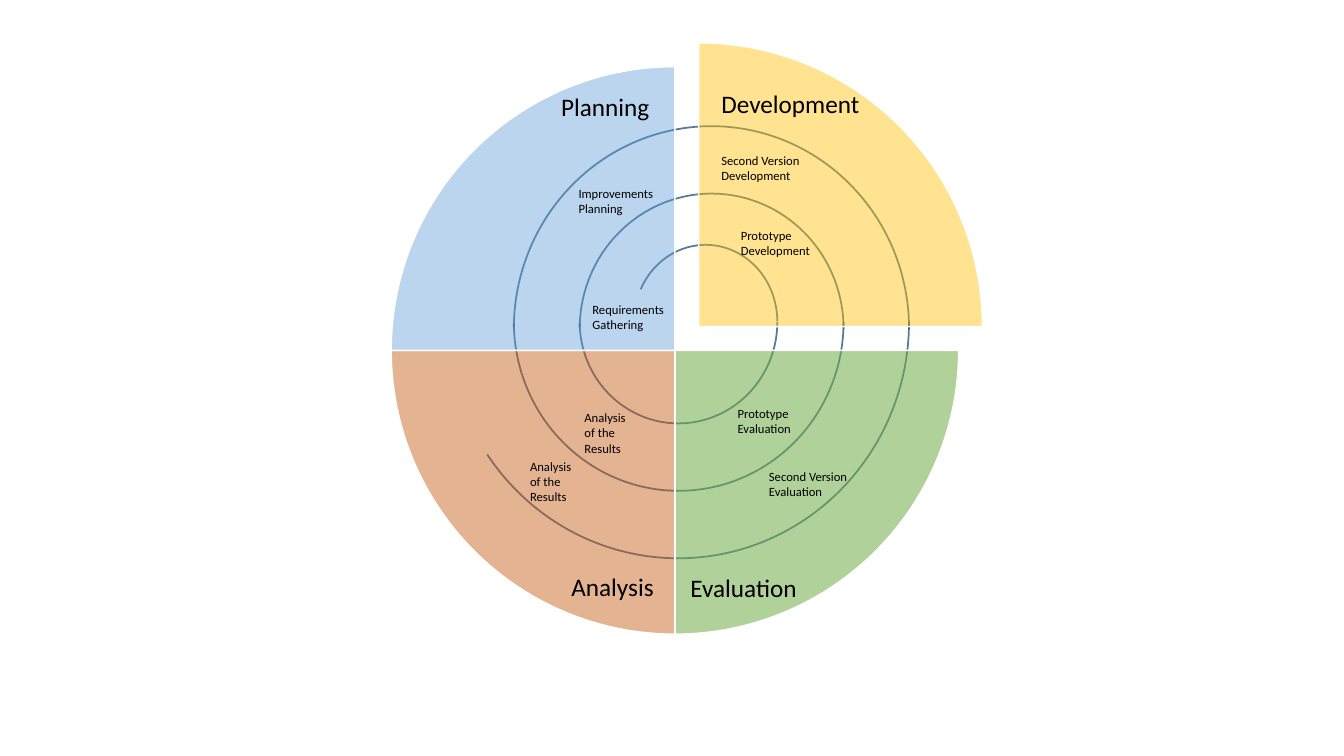
from lxml.etree import SubElement
from pptx import Presentation
from pptx.dml.color import RGBColor
from pptx.enum.shapes import MSO_SHAPE
from pptx.enum.text import MSO_AUTO_SIZE, PP_ALIGN
from pptx.oxml.ns import qn
from pptx.util import Cm, Pt

COLORS = {
    "development": "FFC000",
    "evaluation": "70AD47",
    "analysis": "C55A11",
    "planning": "5B9BD5",
    "spiral": "1F4E79",
    "border": "FFFFFF",
    "text": "000000",
}
FONT = "Calibri"
WHEEL_BOX = (9.86, 1.68, 14.3)
PULL_OUT = 0.6

TURNS = [
    (3.09, 2.18, 8.31, 8.51, 180.56, True),
    (1.42, 0.48, 11.63, 11.91, 214.75, True),
    (4.75, 3.88, 4.98, 5.11, 180.56, True),
    (3.09, 1.5, 9.96, 10.21, 180.56, False),
    (4.75, 3.2, 6.65, 6.81, 180.56, False),
    (6.12, 4.49, 3.61, 3.86, 206.27, False),
]
QUADRANTS = [
    ("development", 270, 43, PULL_OUT),
    ("evaluation", 0, 55, 0),
    ("analysis", 90, 46, 0),
    ("planning", 180, 42, 0),
]
PHASES = [
    ("Planning", 4.03, 0.5, 3.53),
    ("Analysis", 4.29, 12.59, 2.62),
    ("Evaluation", 7.29, 12.62, 3.23),
    ("Development", 8.07, 0.43, 4.04),
]
STEPS = [
    ("Requirements\nGathering", 4.82, 5.81, 2.36),
    ("Prototype\nDevelopment", 8.56, 3.93, 2.29),
    ("Prototype\nEvaluation", 8.48, 8.43, 1.88),
    ("Analysis\nof the\nResults", 4.62, 8.53, 1.57),
    ("Improvements\nPlanning", 4.47, 2.87, 2.44),
    ("Second Version\nDevelopment", 8.07, 2.05, 2.51),
    ("Second Version\nEvaluation", 9.27, 10, 2.51),
    ("Analysis\nof the\nResults", 3.25, 9.75, 1.57),
]


def paint(color_format, name, opacity=100):
    color_format.rgb = RGBColor.from_string(COLORS[name])
    return opacity * 1000


def set_opacity(fill_parent, opacity):
    color = fill_parent.find(qn("a:solidFill")).find(qn("a:srgbClr"))
    SubElement(color, qn("a:alpha"), val=str(opacity * 1000))


def add_sector(group, preset, left, top, width, height, start, end, border, weight):
    sector = group.shapes.add_shape(preset, Cm(left), Cm(top), Cm(width), Cm(height))
    sector.shadow.inherit = False
    for index, degrees in enumerate((start, end)):
        sector.adjustments[index] = degrees % 360 * 0.6
    sector.line.color.rgb = RGBColor.from_string(COLORS[border])
    sector.line.width = Pt(weight)
    return sector


def add_spiral(slide, box):
    left, top, _ = box
    spiral = slide.shapes.add_group_shape()
    for x, y, width, height, start, flipped in TURNS:
        turn = add_sector(spiral, MSO_SHAPE.ARC, left + x, top + y, width, height,
                          start, 0, "spiral", 1.25)
        turn.fill.background()
        properties = turn.element.spPr
        set_opacity(properties.find(qn("a:ln")), 75)
        if flipped:
            properties.find(qn("a:xfrm")).set("flipV", "1")


def add_quadrants(slide, box):
    left, top, size = box
    wheel = slide.shapes.add_group_shape()
    for phase, start, opacity, shift in QUADRANTS:
        quadrant = add_sector(wheel, MSO_SHAPE.PIE, left + shift, top - shift, size, size,
                              start, start + 90, "border", 1)
        quadrant.fill.solid()
        quadrant.fill.fore_color.rgb = RGBColor.from_string(COLORS[phase])
        set_opacity(quadrant.element.spPr, opacity)


def add_labels(slide, box, labels, size, wrap=False):
    left, top, _ = box
    for wording, x, y, width in labels:
        height = 1.42 if wording.count("\n") == 2 else 1.02
        label = slide.shapes.add_textbox(Cm(left + x), Cm(top + y), Cm(width), Cm(height))
        frame = label.text_frame
        frame.word_wrap = wrap
        frame.auto_size = MSO_AUTO_SIZE.SHAPE_TO_FIT_TEXT
        frame.text = wording
        for paragraph in frame.paragraphs:
            paragraph.alignment = PP_ALIGN.LEFT
            paragraph.font.name = FONT
            paragraph.font.size = Pt(size)
            paragraph.font.color.rgb = RGBColor.from_string(COLORS["text"])


def add_spiral_model(slide, box):
    add_spiral(slide, box)
    add_quadrants(slide, box)
    add_labels(slide, box, PHASES, 18)
    add_labels(slide, box, STEPS, 9)


presentation = Presentation()
presentation.slide_width = Cm(33.87)
presentation.slide_height = Cm(19.05)
spiral_slide = presentation.slides.add_slide(presentation.slide_layouts[6])
add_spiral_model(spiral_slide, WHEEL_BOX)
presentation.save("out.pptx")
